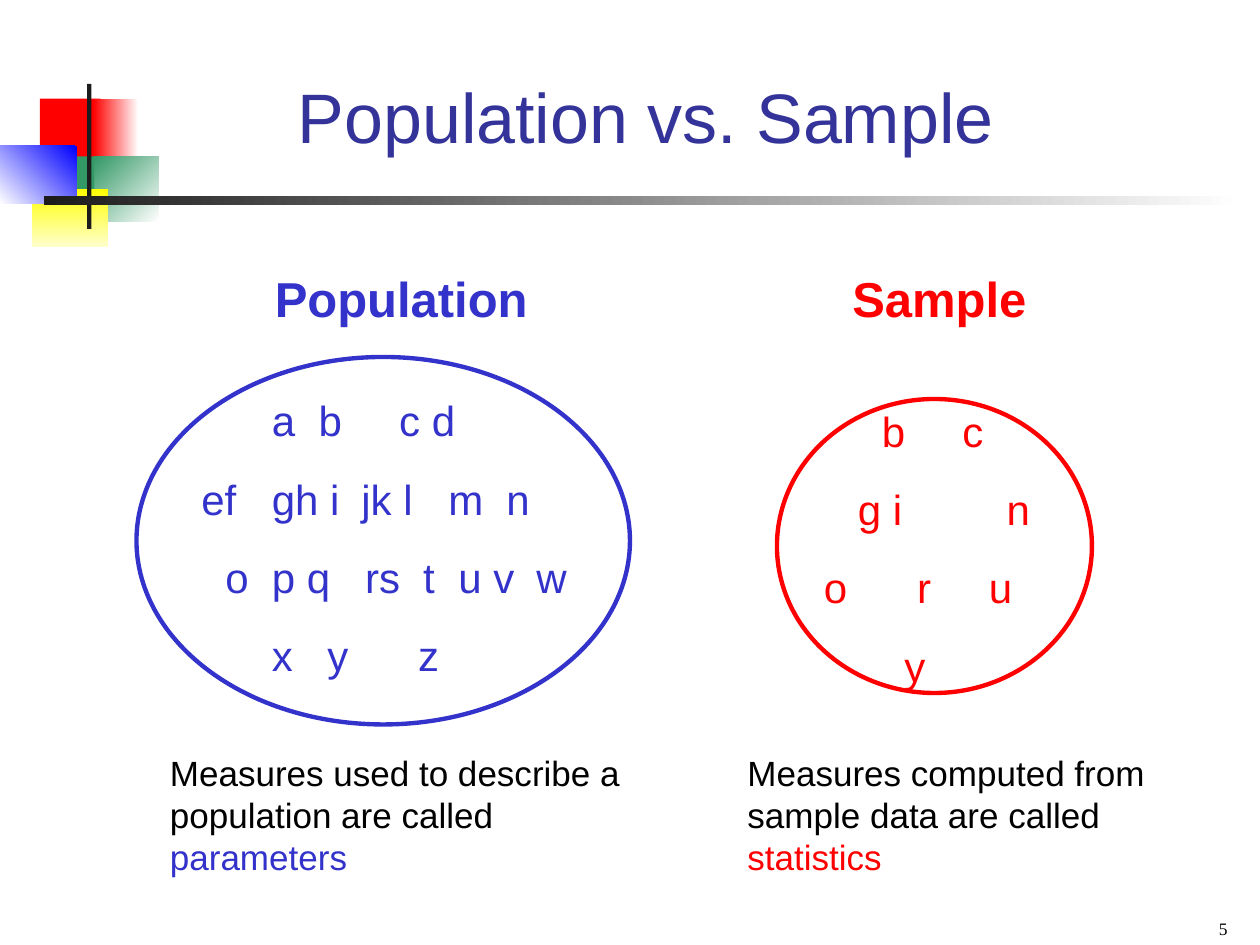
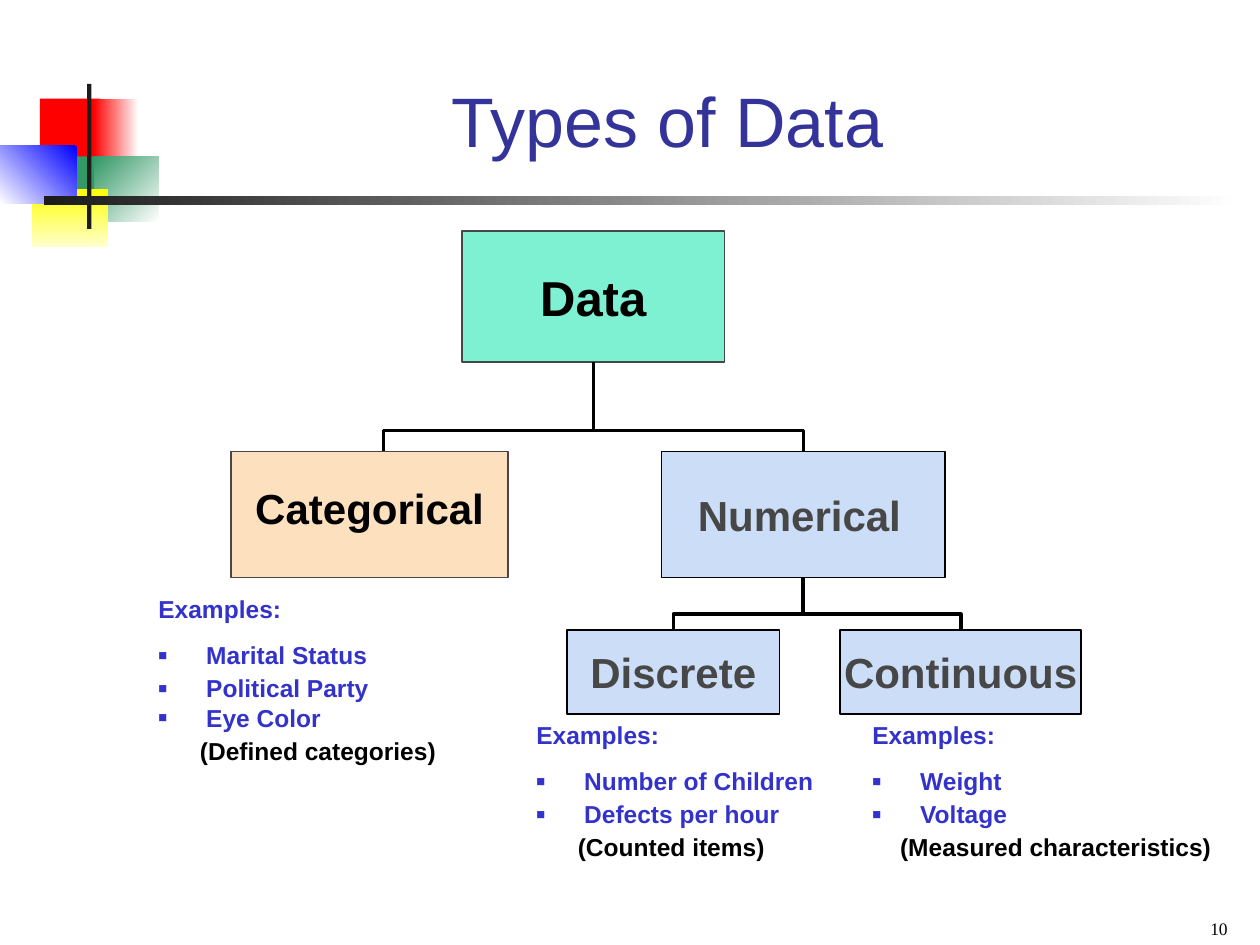
from lxml.etree import SubElement
from pptx import Presentation
from pptx.dml.color import RGBColor
from pptx.enum.shapes import MSO_CONNECTOR, MSO_SHAPE
from pptx.enum.text import MSO_ANCHOR, PP_ALIGN
from pptx.oxml.ns import qn
from pptx.util import Inches, Pt

WIDTH, HEIGHT = Inches(10), Inches(7.5)
COLS, ROWS = 120, 90

BLACK = RGBColor(0x00, 0x00, 0x00)
WHITE = RGBColor(0xFF, 0xFF, 0xFF)
INK = RGBColor(0x1C, 0x1C, 0x1C)
GREY = RGBColor(0x47, 0x47, 0x47)
NAVY = RGBColor(0x33, 0x33, 0x99)
INDIGO = RGBColor(0x33, 0x33, 0xCC)
BLUE = RGBColor(0x00, 0x00, 0xFF)
RED = RGBColor(0xFF, 0x00, 0x00)
GREEN = RGBColor(0x33, 0x99, 0x66)
YELLOW = RGBColor(0xFF, 0xFF, 0x00)
CREAM = RGBColor(0xFF, 0xFF, 0xCC)
MINT = RGBColor(0x00, 0xE4, 0xA8)
PEACH = RGBColor(0xFD, 0xE0, 0xBD)
SKY = RGBColor(0xCB, 0xDD, 0xF7)

# Grid place, then one colour or (first colour, last colour, clockwise angle)
DECORATION = [
    ((3.8, 9.4, 5.8, 6.2), RED),
    ((8.9, 9.4, 4.3, 6.2), (WHITE, RED, 180)),
    ((9, 14.9, 6.1, 6.2), (WHITE, GREEN, 225)),
    ((5.2, 14.9, 3.8, 6.2), GREEN),
    ((3, 18, 7.3, 5.5), (YELLOW, CREAM, 90)),
    ((0, 13.9, 7.3, 5.5), (BLUE, WHITE, 135)),
    ((8.3, 8, 0.4, 13.8), INK),
    ((4.2, 18.7, 114.1, 0.8), (WHITE, INK, 180)),
]

# Rows of letters, each group with its tab position in inches
POPULATION_LETTERS = [
    [(0.56, "a"), (0.93, "b"), (1.57, "c d")],
    [(0, "ef"), (0.56, "gh i"), (1.27, "jk l"), (1.96, "m"), (2.42, "n")],
    [(0.19, "o"), (0.56, "p q"), (1.3, "rs"), (1.76, "t"), (2.04, "u v"), (2.66, "w")],
    [(0.56, "x"), (1, "y"), (1.72, "z")],
]
SAMPLE_LETTERS = [
    [(0.65, "b"), (1.29, "c")],
    [(0.46, "g i"), (1.64, "n")],
    [(0.19, "o"), (0.93, "r"), (1.5, "u")],
    [(0.83, "y")],
]


def col(n):
    return int(WIDTH * n / COLS)


def row(n):
    return int(HEIGHT * n / ROWS)


def place(at):
    x, y, w, h = at
    return col(x), row(y), col(w), row(h)


def apply(target, **values):
    for name, value in values.items():
        setattr(target, name, value)


def add_run(p, text, size, color, bold=False, font="Arial"):
    r = p.add_run()
    r.text = text
    apply(r.font, size=Pt(size), bold=bold, name=font)
    r.font.color.rgb = color


def add_text_box(s, at, anchor=MSO_ANCHOR.TOP, inset=0.1):
    tf = s.shapes.add_textbox(*place(at)).text_frame
    apply(tf, word_wrap=True, vertical_anchor=anchor,
          margin_left=Inches(inset), margin_right=Inches(inset))
    return tf


def next_paragraph(tf, before):
    """Return the empty first paragraph, or a new one with space before it."""
    if not tf.paragraphs[0].runs:
        return tf.paragraphs[0]
    p = tf.add_paragraph()
    p.space_before = Pt(before)
    return p


def add_preset(s, kind, at, fill=None, line=None, weight=1):
    sp = s.shapes.add_shape(kind, *place(at))
    sp.shadow.inherit = False
    if fill is None:
        sp.fill.background()
    elif isinstance(fill, RGBColor):
        sp.fill.solid()
        sp.fill.fore_color.rgb = fill
    else:
        first, last, angle = fill
        sp.fill.gradient()
        sp.fill.gradient_angle = 360 - angle
        for stop, color in zip(sp.fill.gradient_stops, (first, last)):
            stop.color.rgb = color
    if line is None:
        sp.line.fill.background()
    else:
        sp.line.color.rgb = line
        sp.line.width = Pt(weight)
    return sp


def add_titled_slide(prs, title, at, number):
    """Add a slide with the shared corner blocks, rule, title and number."""
    s = prs.slides.add_slide(prs.slide_layouts[5])
    for block, fill in DECORATION:
        add_preset(s, MSO_SHAPE.RECTANGLE, block, fill)
    sp = s.shapes.title
    names = ("left", "top", "width", "height")
    apply(sp, **dict(zip(names, place(at))))
    tf = sp.text_frame
    apply(tf, word_wrap=True, vertical_anchor=MSO_ANCHOR.BOTTOM)
    p = tf.paragraphs[0]
    p.alignment = PP_ALIGN.CENTER
    add_run(p, title, 40, NAVY)
    p = add_text_box(s, (90, 85.8, 28, 4.2), MSO_ANCHOR.BOTTOM, 0.09).paragraphs[0]
    p.alignment = PP_ALIGN.RIGHT
    add_run(p, number, 10, BLACK, font="Times New Roman")
    return s


def add_heading(s, at, text, color):
    add_run(add_text_box(s, at).paragraphs[0], text, 28, color, bold=True)


def add_letters(s, at, letter_rows, color):
    tf = add_text_box(s, at)
    for groups in letter_rows:
        p = next_paragraph(tf, 16)
        tabs = SubElement(p._p.get_or_add_pPr(), qn("a:tabLst"))
        for position, _ in groups:
            if position:
                SubElement(tabs, qn("a:tab"), pos=str(Inches(position)), algn="l")
        text = "".join("\t" * bool(position) + letters for position, letters in groups)
        add_run(p, text, 24, color)


def add_definition(s, at, text, term, color):
    p = add_text_box(s, at).paragraphs[0]
    add_run(p, text, 20, BLACK)
    add_run(p, term, 20, color)


def add_node(s, at, text, fill, line, color, size=24, lift=0, shift=0):
    """Add a box of the tree; lift and shift move its text up and left."""
    sp = add_preset(s, MSO_SHAPE.RECTANGLE, at, fill, line)
    tf = sp.text_frame
    apply(tf, word_wrap=False, vertical_anchor=MSO_ANCHOR.MIDDLE,
          margin_bottom=Inches(0.05 + lift), margin_right=Inches(0.1 + shift))
    p = tf.paragraphs[0]
    p.alignment = PP_ALIGN.CENTER
    add_run(p, text, size, color, bold=True)
    return sp


def set_alpha(sp, percent):
    color = sp.fill._xPr.find(qn("a:solidFill"))[0]
    SubElement(color, qn("a:alpha"), val=str(percent * 1000))


def add_branch(s, parent, child, bend, weight, shift=0):
    """Join parent's bottom to child's top, turning at share bend of the drop."""
    x1, y1 = parent.left + parent.width // 2, parent.top + parent.height
    x2, y2 = child.left + child.width // 2 + shift, child.top
    drop, reach = y2 - y1, abs(x2 - x1)
    left, top = (x1 + x2 - drop) // 2, (y1 + y2 - reach) // 2
    cxn = s.shapes.add_connector(MSO_CONNECTOR.ELBOW, left, top, left + drop, top + reach)
    cxn.line.color.rgb = BLACK
    cxn.line.width = Pt(weight)
    spPr = cxn._element.spPr
    xfrm = spPr.find(qn("a:xfrm"))
    if x2 < x1:
        xfrm.set("rot", "5400000")
    else:
        xfrm.set("rot", "16200000")
        xfrm.set("flipH", "1")
    geom = spPr.find(qn("a:prstGeom"))
    guides = geom.find(qn("a:avLst"))
    if guides is None:
        guides = SubElement(geom, qn("a:avLst"))
    SubElement(guides, qn("a:gd"), name="adj1", fmla=f"val {round(bend * 100000)}")
    SubElement(spPr, qn("a:effectLst"))


def add_bullet(p):
    pPr = p._p.get_or_add_pPr()
    pPr.set("marL", str(Inches(0.38)))
    pPr.set("indent", str(-Inches(0.38)))
    SubElement(SubElement(pPr, qn("a:buClr")), qn("a:srgbClr"), val=str(INDIGO))
    SubElement(pPr, qn("a:buSzPct"), val="60000")
    SubElement(pPr, qn("a:buFont"), typeface="Arial")
    SubElement(pPr, qn("a:buChar"), char="■")


def add_examples(s, at, items, remark, remark_indent=0.33):
    tf = add_text_box(s, at, inset=0.09)
    add_run(tf.paragraphs[0], "Examples:", 14, INDIGO, bold=True)
    for item, before in zip(items, (9.6, 2, 0)):
        p = next_paragraph(tf, before)
        add_bullet(p)
        add_run(p, item, 14, INDIGO, bold=True)
    p = next_paragraph(tf, 2)
    p._p.get_or_add_pPr().set("marL", str(Inches(remark_indent)))
    add_run(p, remark, 14, BLACK, bold=True)


def add_population_slide(prs):
    s = add_titled_slide(prs, "Population vs. Sample", (17, 6, 89, 9.6), "5")
    add_preset(s, MSO_SHAPE.OVAL, (13, 34, 47, 35), line=INDIGO, weight=2.5)
    add_preset(s, MSO_SHAPE.OVAL, (74, 38, 30, 28), line=RED, weight=2.5)
    add_letters(s, (18, 37, 41, 35.3), POPULATION_LETTERS, INDIGO)
    add_letters(s, (75, 38, 41, 35.3), SAMPLE_LETTERS, RED)
    add_heading(s, (25, 25, 29, 6.8), "Population", INDIGO)
    add_heading(s, (80, 25, 26, 6.8), "Sample", RED)
    add_definition(s, (15, 71, 46, 13.2),
                   "Measures used to describe a population are called ", "parameters", INDIGO)
    add_definition(s, (70, 71, 44, 13.2),
                   "Measures computed from sample data are called ", "statistics", RED)


def add_types_slide(prs):
    s = add_titled_slide(prs, "Types of Data", (15.1, 3, 96.9, 13), "10")
    data = add_node(s, (44, 22, 25, 12.5), "Data", MINT, GREY, BLACK, size=28)
    set_alpha(data, 50)
    categorical = add_node(s, (22, 43, 26.4, 12), "Categorical", PEACH, GREY, BLACK, lift=0.11)
    numerical = add_node(s, (63, 43, 27, 12), "Numerical", SKY, BLACK, GREY, shift=0.06)
    discrete = add_node(s, (54, 60, 20.25, 8), "Discrete", SKY, BLACK, GREY)
    continuous = add_node(s, (80, 60, 23, 8), "Continuous", SKY, BLACK, GREY)
    add_branch(s, data, categorical, 0.76, 1.75, shift=Inches(0.11))
    add_branch(s, data, numerical, 0.76, 1.75)
    for child in (discrete, continuous):
        add_branch(s, numerical, child, 0.7, 2)
    add_examples(s, (14, 56, 33, 17.2),
                 ["Marital Status", "Political Party", "Eye Color"], "(Defined categories)")
    add_examples(s, (50, 68, 30, 14.4),
                 ["Number of Children", "Defects per hour"], "(Counted items)")
    add_examples(s, (82, 68, 36, 14.4),
                 ["Weight", "Voltage"], "(Measured characteristics)", 0.22)


def main():
    prs = Presentation()
    apply(prs, slide_width=WIDTH, slide_height=HEIGHT)
    add_population_slide(prs)
    add_types_slide(prs)
    prs.save("out.pptx")


if __name__ == "__main__":
    main()
